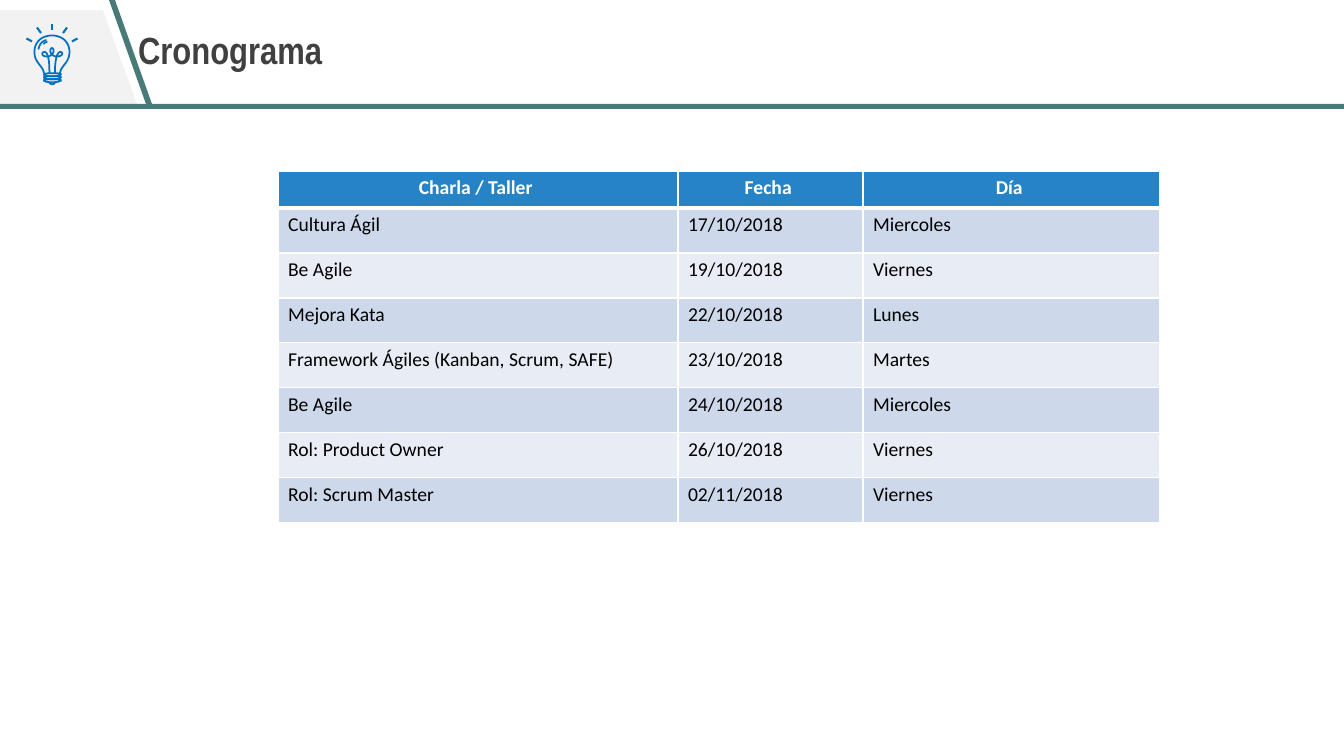
from lxml import etree
from pptx import Presentation
from pptx.dml.color import RGBColor
from pptx.enum.shapes import MSO_SHAPE
from pptx.enum.text import MSO_ANCHOR, MSO_AUTO_SIZE, PP_ALIGN
from pptx.oxml.ns import qn
from pptx.util import Pt

RECT = MSO_SHAPE.RECTANGLE
MIDDLE = MSO_ANCHOR.MIDDLE
FIXED = MSO_AUTO_SIZE.NONE
LEFT, CENTER = PP_ALIGN.LEFT, PP_ALIGN.CENTER

# Content
TITLE = "Cronograma"
ROWS = [
    ("Charla / Taller ", "Fecha ", "Día "),
    ("Cultura Ágil", "17/10/2018", "Miercoles"),
    ("Be Agile", "19/10/2018", "Viernes"),
    ("Mejora Kata", "22/10/2018", "Lunes"),
    ("Framework Ágiles (Kanban, Scrum, SAFE)", "23/10/2018", "Martes"),
    ("Be Agile", "24/10/2018", "Miercoles"),
    ("Rol: Product Owner", "26/10/2018", "Viernes"),
    ("Rol: Scrum Master", "02/11/2018", "Viernes"),
]
COLORS = {
    "panel": "F2F2F2", "teal": "487B78", "bulb": "0070C0", "title": "404040",
    "head": "2683C6", "odd": "CDD9EA", "even": "E8EDF5",
    "white": "FFFFFF", "black": "000000",
}

# Geometry in px
WIDE, HIGH = 1344, 756
PX = 914400 / 100.8
FINE = 10  # freeform steps per px
BAND = 104
PANEL = [(0, 10), (103, 10), (137, BAND), (0, BAND)]
SLASH = [(109, 0), (115, 0), (152, BAND), (146, BAND)]
COLS = [400, 185, 297]
HEAD_H, ROW_H = 37, 45
AXIS = 52  # middle of the bulb

# Bulb strokes: a start point, then cubic curves of three points each
CURVES = [
    [(44, 73), (43, 66), (35, 63), (34.5, 53), (34, 42), (42, 35.5), (52, 35.5),
     (62, 35.5), (70, 42), (69.5, 53), (69, 63), (61, 66), (60, 73)],
    [(49.5, 73), (49.5, 65), (49, 51), (44, 52), (41, 53), (42, 57), (48, 56.5),
     (54, 55.5), (55, 49), (52, 48), (49, 49), (50, 55.5), (56, 56.5),
     (62, 57), (64, 53), (61, 52), (56, 51), (55, 65), (55, 73)],
    [(46.5, 40), (42, 41), (39, 45), (38.5, 49.5)],
    [(47.5, 42), (45, 42), (44, 43), (44, 44.5)],
    [(49, 82), (50, 85), (55, 85), (55, 82)],
]
CURVES += [[(44, y), (42, y + 3), (62, y + 3), (61, y), (60, y - 1), (46, y - 1), (44, y)]
           for y in (74, 77, 80)]
RAYS = [[(77.5, 38.5), (72, 41.5)], [(67, 27.5), (63, 33)]]
RAYS += [[(2 * AXIS - x, y) for x, y in ray] for ray in RAYS]
RAYS.append([(AXIS, 24), (AXIS, 30)])


def px(n):
    return round(n * PX)


def rgb(name):
    return RGBColor.from_string(COLORS[name])


def paint(shape, name):
    shape.shadow.inherit = False
    shape.fill.solid()
    shape.fill.fore_color.rgb = rgb(name)
    shape.line.fill.background()


def outline(points, close):
    pts = [(x * FINE, y * FINE) for x, y in points]
    build = slide.shapes.build_freeform(*pts[0], scale=PX / FINE)
    build.add_line_segments(pts[1:], close=close)
    return build.convert_to_shape()


def stroke(points, width):
    shape = outline(points, False)
    shape.shadow.inherit = False
    shape.fill.background()
    shape.line.color.rgb = rgb("bulb")
    shape.line.width = Pt(width)


def bend(points, steps=12):
    out = [points[0]]
    for i in range(0, len(points) - 1, 3):
        quad = points[i:i + 4]
        for k in range(1, steps + 1):
            t = k / steps
            mix = ((1 - t) ** 3, 3 * t * (1 - t) ** 2, 3 * t * t * (1 - t), t ** 3)
            out.append(tuple(sum(m * p[d] for m, p in zip(mix, quad)) for d in (0, 1)))
    return out


def write(para, text, font, size, color, bold):
    run = para.add_run()
    run.text = text
    run.font.name = font
    run.font.size = Pt(size)
    run.font.bold = bold
    run.font.color.rgb = rgb(color)


def edge(cell, side, width):
    line = etree.SubElement(cell._tc.get_or_add_tcPr(), qn("a:ln" + side), w=str(Pt(width)))
    fill = etree.SubElement(line, qn("a:solidFill"))
    etree.SubElement(fill, qn("a:srgbClr"), val=COLORS["white"])


deck = Presentation()
deck.slide_width, deck.slide_height = px(WIDE), px(HIGH)
slide = deck.slides.add_slide(deck.slide_layouts[5])

# Header band
paint(outline(PANEL, True), "panel")
for curve in CURVES:
    stroke(bend(curve), 1.25)
for ray in RAYS:
    stroke(ray, 1.5)
bar = slide.shapes.add_shape(RECT, 0, px(BAND), px(WIDE), px(5))
paint(bar, "teal")
paint(outline(SLASH, True), "teal")

# Title
title = slide.shapes.title
title.left, title.top, title.width, title.height = px(128), 0, px(934), px(BAND)
frame = title.text_frame
frame.auto_size = FIXED
frame.word_wrap = True
frame.vertical_anchor = MIDDLE
para = frame.paragraphs[0]
para.alignment = LEFT
para.line_spacing = 0.9
write(para, TITLE, "Arial Narrow", 27, "title", True)

# Schedule table
total = HEAD_H + ROW_H * (len(ROWS) - 1)
grid = slide.shapes.add_table(len(ROWS), len(COLS), px(278), px(171),
                              px(sum(COLS)), px(total)).table
for col, width in zip(grid.columns, COLS):
    col.width = px(width)
for r, texts in enumerate(ROWS):
    head = r == 0
    grid.rows[r].height = px(HEAD_H if head else ROW_H)
    back = "head" if head else ("even", "odd")[r % 2]
    for c, text in enumerate(texts):
        cell = grid.cell(r, c)
        for side, width in (("L", 1), ("R", 1), ("T", 3 if r == 1 else 1), ("B", 3 if head else 1)):
            edge(cell, side, width)
        cell.fill.solid()
        cell.fill.fore_color.rgb = rgb(back)
        para = cell.text_frame.paragraphs[0]
        para.alignment = CENTER if head else LEFT
        write(para, text, "Calibri", 14, "white" if head else "black", head)

deck.save("out.pptx")
